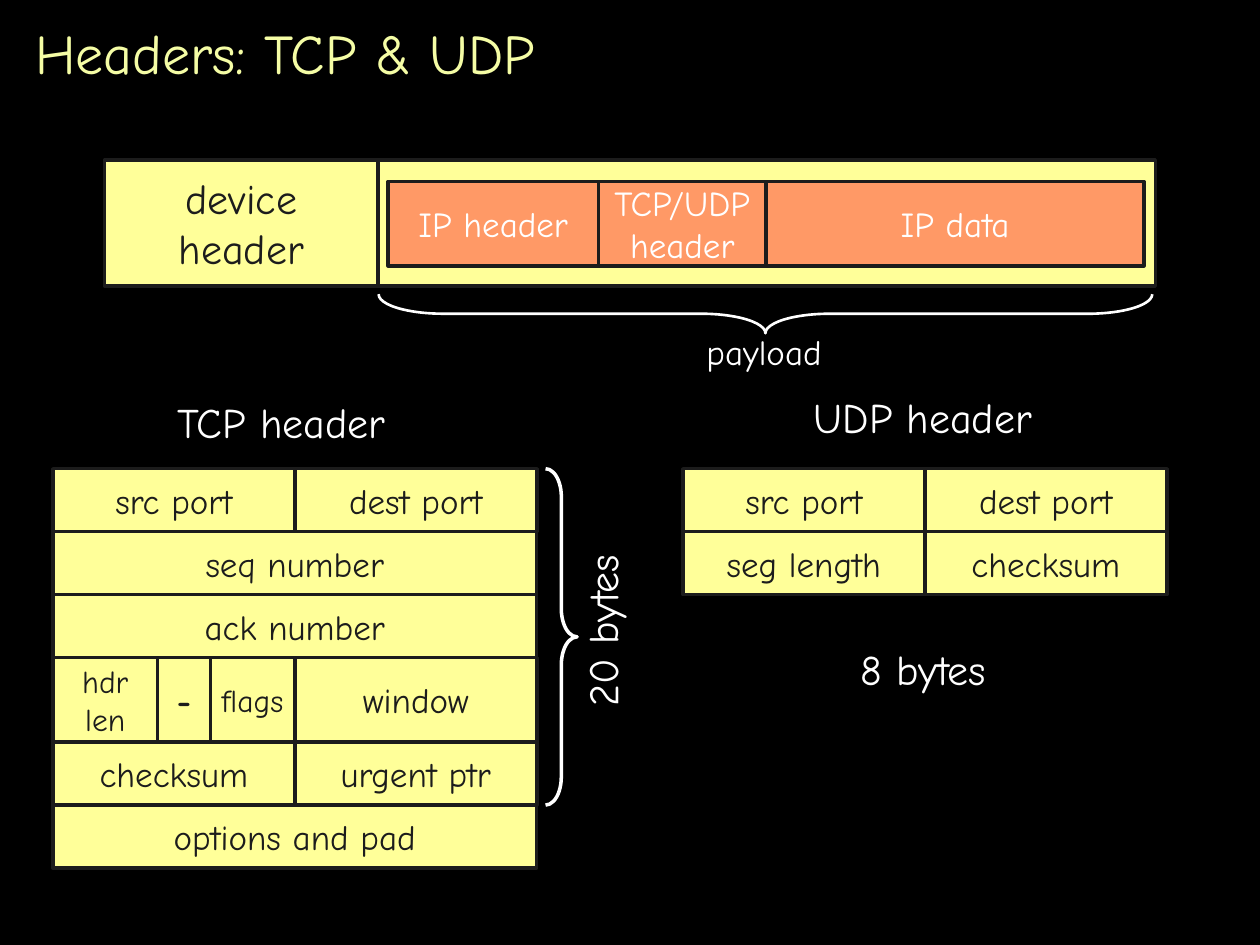
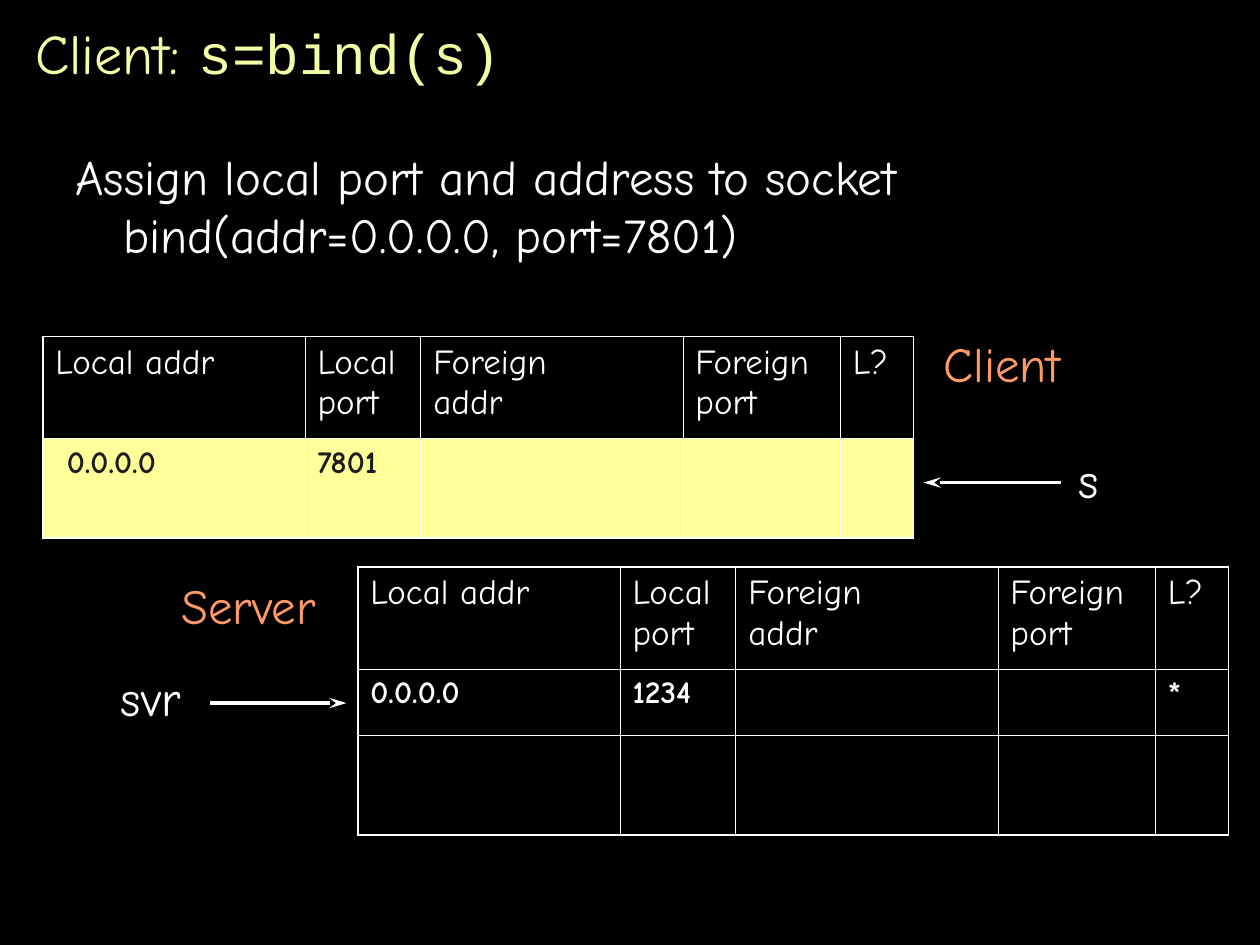
import pptx
import pptx.util
import pptx.dml.color
import pptx.enum.shapes
import pptx.enum.text
import pptx.oxml
import pptx.oxml.ns

Inches = pptx.util.Inches
Shapes = pptx.enum.shapes.MSO_SHAPE
Align = pptx.enum.text.PP_ALIGN
Anchor = pptx.enum.text.MSO_ANCHOR

BLACK, WHITE, INK = "000000", "FFFFFF", "1C1C1C"
YELLOW, ORANGE, TITLE_COLOR = "FFFF99", "FF9966", "F5FDA5"
HAND, CODE = "Comic Neue", "Courier New"
HALF, FULL = 1.92, 3.84
ROW, TALL_ROW = 0.5, 0.67
COLUMNS = [2.08, 0.92, 2.08, 1.25, 0.58]
HEADINGS = ["Local addr", "Local\nport", "Foreign\naddr", "Foreign\nport", "L?"]


def rgb(color):
    return pptx.dml.color.RGBColor.from_string(color)


def write(frame, text, size=20, color=WHITE, font=HAND, bold=False, align=Align.LEFT):
    para = frame.paragraphs[-1]
    para.alignment = align
    for index, line in enumerate(text.split("\n")):
        if index:
            para.add_line_break()
        span = para.add_run()
        span.text = line
        span.font.name = font
        span.font.size = pptx.util.Pt(size)
        span.font.bold = bold
        span.font.color.rgb = rgb(color)


def add_text_box(page, left, top, width, height):
    return page.shapes.add_textbox(*map(Inches, (left, top, width, height)))


def add_label(page, left, top, width, height, text, **style):
    label = add_text_box(page, left, top, width, height)
    label.text_frame.word_wrap = False
    label.text_frame.auto_size = pptx.enum.text.MSO_AUTO_SIZE.SHAPE_TO_FIT_TEXT
    write(label.text_frame, text, **style)
    return label


def add_page(deck, title, code=""):
    page = deck.slides.add_slide(deck.slide_layouts[6])
    page.background.fill.solid()
    page.background.fill.fore_color.rgb = rgb(BLACK)
    frame = add_text_box(page, 0.18, 0.08, 9.67, 0.67).text_frame
    frame.word_wrap = True
    frame.vertical_anchor = Anchor.MIDDLE
    write(frame, title, size=32, color=TITLE_COLOR)
    if code:
        write(frame, code, size=32, color=TITLE_COLOR, font=CODE)
    return page


def add_field(page, left, top, width, height, text="", fill=YELLOW, **style):
    field = page.shapes.add_shape(Shapes.RECTANGLE, *map(Inches, (left, top, width, height)))
    field.shadow.inherit = False
    field.fill.solid()
    field.fill.fore_color.rgb = rgb(fill)
    field.line.color.rgb = rgb(INK)
    field.line.width = pptx.util.Pt(2)
    field.text_frame.word_wrap = False
    field.text_frame.vertical_anchor = Anchor.MIDDLE
    if text:
        write(field.text_frame, text, align=Align.CENTER, **style)


def add_brace(page, left, top, width, height, weight, rotation=0):
    brace = page.shapes.add_shape(Shapes.RIGHT_BRACE, *map(Inches, (left, top, width, height)))
    brace.shadow.inherit = False
    brace.adjustments[0] = height / 12 / width
    brace.rotation = rotation
    brace.fill.background()
    brace.line.color.rgb = rgb(WHITE)
    brace.line.width = pptx.util.Pt(weight)


def add_packet(page, left, top):
    add_field(page, left, top, 2.17, 1, "device\nheader", size=24, color=INK)
    add_field(page, left + 2.17, top, 6.17, 1)
    inner_left = left + 2.25
    for text, width in [("IP header", 1.67), ("TCP/UDP\nheader", 1.33), ("IP data", 3)]:
        add_field(page, inner_left, top + 0.17, width, 0.67, text, fill=ORANGE)
        inner_left += width
    add_brace(page, left + 5.09, top - 1.85, 0.31, 6.14, 1.5, rotation=90)
    add_label(page, left + 4.48, top + 1.3, 1.51, 0.44, "payload", align=Align.CENTER)


def add_field_grid(page, left, top, rows):
    for height, fields in rows:
        field_left = left
        for text, width, *style in fields:
            add_field(page, field_left, top, width, height, text, color=INK,
                      **(style[0] if style else {}))
            field_left += width
        top += height


def add_tcp_header(page, left, top):
    add_label(page, left + 0.89, top - 0.62, 1.87, 0.5, "TCP header", size=24)
    small = {"size": 18}
    add_field_grid(page, left, top, [
        (ROW, [("src port", HALF), ("dest port", HALF)]),
        (ROW, [("seq number", FULL)]),
        (ROW, [("ack number", FULL)]),
        (TALL_ROW, [("hdr\nlen", 0.83, small), ("-", 0.42, {"bold": True}),
                    ("flags", 0.67, small), ("window", HALF)]),
        (ROW, [("checksum", HALF), ("urgent ptr", HALF)]),
        (ROW, [("options and pad", FULL)]),
    ])
    add_brace(page, left + 3.91, top, 0.25, 4 * ROW + TALL_ROW, 2)
    size_label = add_label(page, left + 3.65, top + 1.03, 1.41, 0.5, "20 bytes", size=24)
    size_label.rotation = 270


def add_udp_header(page, left, top):
    add_label(page, left + 0.94, top - 0.66, 1.93, 0.5, "UDP header", size=24)
    add_field_grid(page, left, top, [
        (ROW, [("src port", HALF), ("dest port", HALF)]),
        (ROW, [("seg length", HALF), ("checksum", HALF)]),
    ])
    add_label(page, left + 1.31, top + 1.34, 1.21, 0.5, "8 bytes", size=24)


def add_border(cell, side, weight):
    cell._tc.get_or_add_tcPr().append(pptx.oxml.parse_xml(
        f'<a:ln{side} {pptx.oxml.ns.nsdecls("a")} w="{pptx.util.Pt(weight)}">'
        f'<a:solidFill><a:srgbClr val="{WHITE}"/></a:solidFill></a:ln{side}>'))


def add_socket_table(page, left, top, heights, entries, fill=None, color=WHITE, indent=0.1):
    rows = [HEADINGS] + entries
    table = page.shapes.add_table(
        len(rows), len(COLUMNS),
        *map(Inches, (left, top, sum(COLUMNS), sum(heights)))).table
    table.first_row = table.horz_banding = False
    for column, width in zip(table.columns, COLUMNS):
        column.width = Inches(width)
    for row, height in zip(table.rows, heights):
        row.height = Inches(height)
    last_row, last_column = len(rows) - 1, len(COLUMNS) - 1
    for r, texts in enumerate(rows):
        for c, text in enumerate(texts):
            cell = table.cell(r, c)
            outer = {"L": c == 0, "R": c == last_column, "T": r == 0, "B": r == last_row}
            for side, on_edge in outer.items():
                add_border(cell, side, 1.08 if on_edge else 0.45)
            if r and fill:
                cell.fill.solid()
                cell.fill.fore_color.rgb = rgb(fill)
            else:
                cell.fill.background()
            if r and c == 0:
                cell.margin_left = Inches(indent)
            if text:
                write(cell.text_frame, text, size=18 if r and text != "*" else 20,
                      color=color if r else WHITE, bold=r > 0)


def add_arrow(page, start, end, y):
    arrow = page.shapes.add_connector(
        pptx.enum.shapes.MSO_CONNECTOR.STRAIGHT, *map(Inches, (start, y, end, y)))
    arrow.line.color.rgb = rgb(WHITE)
    arrow.line.width = pptx.util.Pt(2)
    properties = arrow._element.spPr
    tip = pptx.oxml.parse_xml(
        f'<a:tailEnd {pptx.oxml.ns.nsdecls("a")} type="stealth" len="lg"/>')
    properties.find(pptx.oxml.ns.qn("a:ln")).append(tip)
    properties.append(pptx.oxml.parse_xml(f'<a:effectLst {pptx.oxml.ns.nsdecls("a")}/>'))


def add_statement(page, left, top):
    frame = add_text_box(page, left, top, 9, 1.5).text_frame
    frame.word_wrap = True
    indents = frame.paragraphs[0]._p.get_or_add_pPr()
    indents.set("marL", str(Inches(0.38)))
    indents.set("indent", str(Inches(-0.38)))
    write(frame, "Assign local port and address to socket\nbind(addr=0.0.0.0, port=7801)", size=28)


def add_client(page, left, top):
    add_socket_table(page, left, top, [0.81, 0.79], [["0.0.0.0", "7801", "", "", ""]],
                     fill=YELLOW, color=INK, indent=0.19)
    add_label(page, left + 7.05, top - 0.07, 1.13, 0.57, "Client", size=28, color=ORANGE)
    add_arrow(page, left + 8.08, left + 6.99, top + 1.16)
    add_label(page, left + 8.12, top + 0.85, 0.36, 0.57, "s", size=28)


def add_server(page, left, top):
    add_socket_table(page, left, top, [0.81, 0.53, 0.79],
                     [["0.0.0.0", "1234", "", "", "*"], [""] * len(COLUMNS)])
    add_label(page, left - 1.5, top + 0.02, 1.27, 0.57, "Server", size=28, color=ORANGE)
    add_label(page, left - 1.98, top + 0.75, 0.68, 0.57, "svr", size=28)
    add_arrow(page, left - 1.17, left - 0.09, top + 1.08)


def build_headers_page(deck):
    page = add_page(deck, "Headers: TCP & UDP")
    add_packet(page, 0.83, 1.27)
    add_tcp_header(page, 0.42, 3.72)
    add_udp_header(page, 5.42, 3.72)


def build_bind_page(deck):
    page = add_page(deck, "Client: ", code="s=bind(s)")
    add_statement(page, 0.5, 1.11)
    add_client(page, 0.34, 2.67)
    add_server(page, 2.84, 4.5)


def main():
    deck = pptx.Presentation()
    deck.slide_width, deck.slide_height = Inches(10), Inches(7.5)
    build_headers_page(deck)
    build_bind_page(deck)
    deck.save("out.pptx")


if __name__ == "__main__":
    main()
